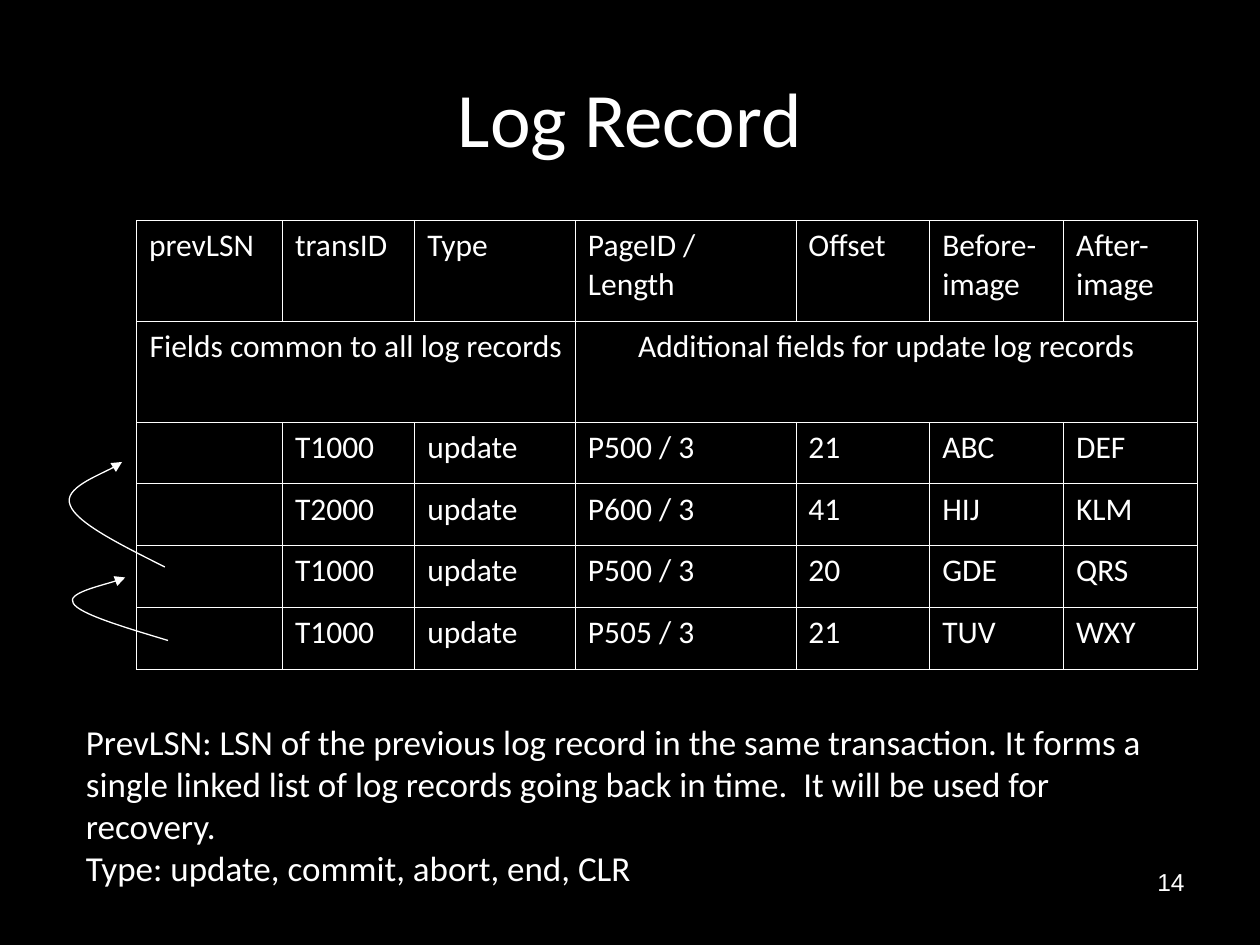
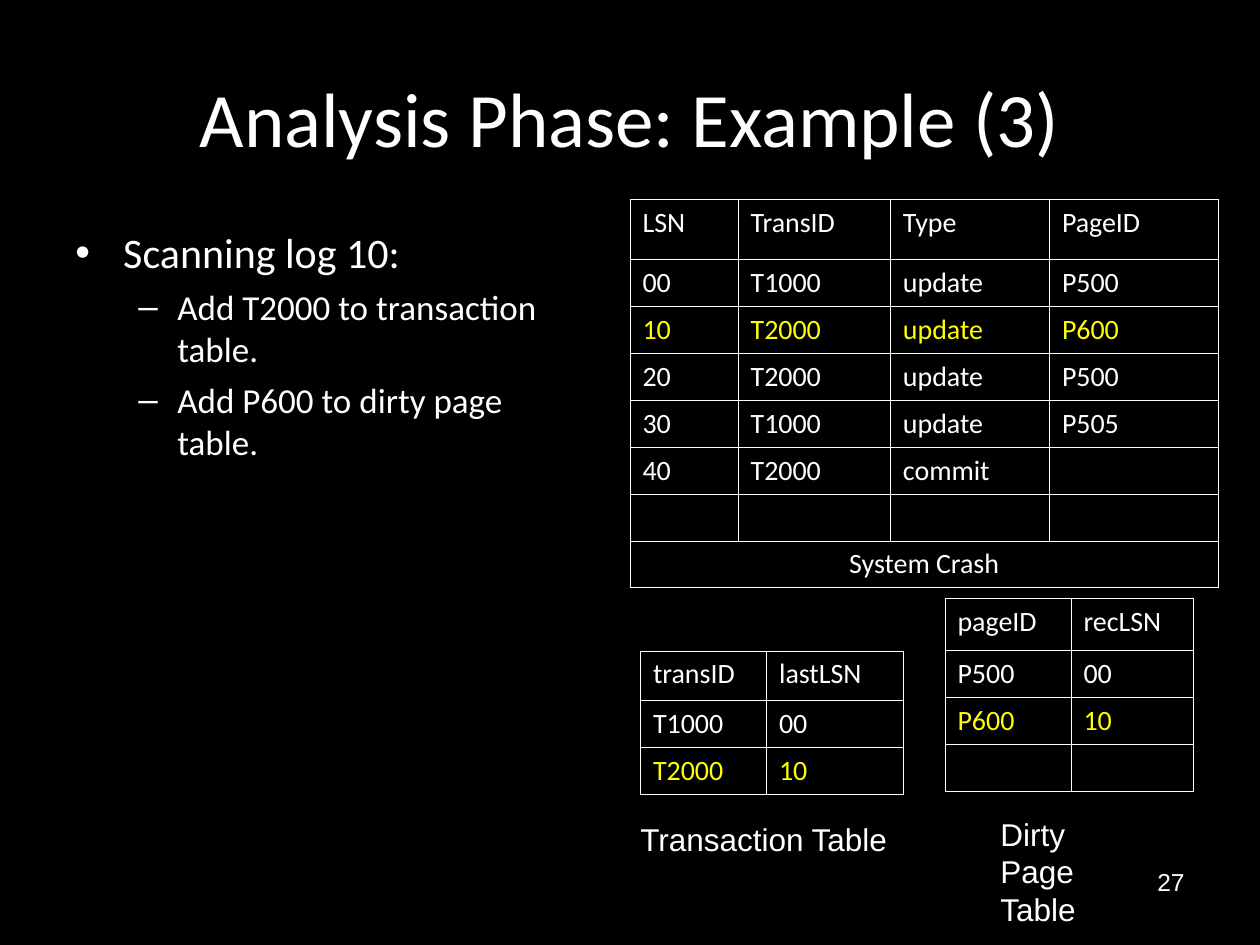
from lxml.etree import SubElement
from pptx import Presentation
from pptx.dml.color import RGBColor
from pptx.enum.text import MSO_ANCHOR as Anchor, PP_ALIGN as Align
from pptx.oxml import parse_xml
from pptx.oxml.ns import nsdecls, qn
from pptx.util import Inches, Pt

WIDTH, HEIGHT = Inches(10), Inches(7.5)
COLUMNS = 120
BLACK, WHITE, YELLOW = "000000", "FFFFFF", "FFFF00"
BODY_FONT, LABEL_FONT = "Calibri", "Arial"
BORDER = 0.45
HOOK = [(1, 1), (0.57, 0.79), (0.13, 0.58), (0.07, 0.41),
        (0, 0.25), (0.5, 0.07), (0.58, 0)]


def grid(*lengths):
    return [round(length * WIDTH / COLUMNS) for length in lengths]


def color(hex_value):
    return RGBColor.from_string(hex_value)


def style(paragraph, size, font=BODY_FONT, fill=WHITE, align=Align.LEFT):
    paragraph.alignment = align
    for run in paragraph.runs:
        run.font.size = Pt(size)
        run.font.name = font
        run.font.color.rgb = color(fill)


def add_text(slide, area, text, size, font=BODY_FONT, align=Align.LEFT,
             anchor=Anchor.TOP, wrap=True):
    frame = slide.shapes.add_textbox(*grid(*area)).text_frame
    frame.word_wrap = wrap
    frame.vertical_anchor = anchor
    frame.text = text
    for paragraph in frame.paragraphs:
        style(paragraph, size, font, align=align)
    return frame


def add_bullet(paragraph, mark, margin, hanging):
    properties = paragraph._p.get_or_add_pPr()
    properties.set("marL", str(Inches(margin)))
    properties.set("indent", str(-Inches(hanging)))
    SubElement(properties, qn("a:buFont")).set("typeface", LABEL_FONT)
    SubElement(properties, qn("a:buChar")).set("char", mark)


def add_outline(slide, area, heading, points):
    frame = add_text(slide, area, "\n".join([heading, *points]), 20)
    first, *rest = frame.paragraphs
    style(first, 24)
    add_bullet(first, "•", 0.38, 0.38)
    for point in rest:
        point.space_before = Pt(5)
        add_bullet(point, "–", 0.81, 0.31)


def border_cell(cell):
    cell.fill.background()
    properties = cell._tc.get_or_add_tcPr()
    for position, side in enumerate(("lnL", "lnR", "lnT", "lnB")):
        properties.insert(position, parse_xml(
            f'<a:{side} {nsdecls("a")} w="{Pt(BORDER)}"><a:solidFill>'
            f'<a:srgbClr val="{WHITE}"/></a:solidFill></a:{side}>'))


def add_grid_table(slide, corner, widths, heights, rows, size,
                   merges=(), highlight=None):
    area = grid(*corner, sum(widths), sum(heights))
    table = slide.shapes.add_table(len(rows), len(widths), *area).table
    table.first_row = table.horz_banding = False
    for column, width in zip(table.columns, grid(*widths)):
        column.width = width
    for row, height in zip(table.rows, grid(*heights)):
        row.height = height
    for r, first, last in merges:
        table.cell(r, first).merge(table.cell(r, last))
    centred = {(r, first) for r, first, last in merges}
    for r, texts in enumerate(rows):
        for c, text in enumerate(texts):
            cell = table.cell(r, c)
            border_cell(cell)
            cell.text = text
            paragraph = cell.text_frame.paragraphs[0]
            style(paragraph, size, fill=YELLOW if r == highlight else WHITE,
                  align=Align.CENTER if (r, c) in centred else Align.LEFT)
            if not text:
                paragraph._p.get_or_add_endParaRPr().set("sz", str(size * 100))


def add_back_link(slide, left, top, width, height):
    points = [grid(left + x * width, top + y * height) for x, y in HOOK]
    builder = slide.shapes.build_freeform(*points[0])
    builder.add_line_segments(points[1:], close=False)
    link = builder.convert_to_shape()
    link.shadow.inherit = False
    link.fill.background()
    link.line.color.rgb = color(WHITE)
    link.line.width = Pt(0.75)
    SubElement(link.line._get_or_add_ln(), qn("a:tailEnd")).set("type", "triangle")
    outline = next(link._element.iter(qn("a:path")))
    segments = outline.findall(qn("a:lnTo"))
    for start in range(0, len(segments), 3):
        curve = SubElement(outline, qn("a:cubicBezTo"))
        for segment in segments[start:start + 3]:
            curve.append(segment[0])
            outline.remove(segment)


def new_slide(deck, title, number):
    slide = deck.slides.add_slide(deck.slide_layouts[6])
    slide.background.fill.solid()
    slide.background.fill.fore_color.rgb = color(BLACK)
    add_text(slide, (86, 82, 28, 6.25), str(number), 14, LABEL_FONT, Align.RIGHT)
    add_text(slide, (6, 3.6, 108, 15), title, 44,
             align=Align.CENTER, anchor=Anchor.MIDDLE)
    return slide


def log_record_slide(deck):
    slide = new_slide(deck, "Log Record", 14)
    updates = [("T1000", "P500 / 3", "21", "ABC", "DEF"),
               ("T2000", "P600 / 3", "41", "HIJ", "KLM"),
               ("T1000", "P500 / 3", "20", "GDE", "QRS"),
               ("T1000", "P505 / 3", "21", "TUV", "WXY")]
    rows = [("prevLSN", "transID", "Type", "PageID / Length", "Offset",
             "Before-image", "After-image"),
            ("Fields common to all log records", "", "",
             "Additional fields for update log records", "", "", "")]
    rows += [("", trans, "update", *change) for trans, *change in updates]
    add_grid_table(slide, (13, 21), [13.9, 12.6, 15.3, 21] + [12.75] * 3,
                   [9.6] * 2 + [5.88] * 4, rows, 18,
                   merges=[(1, 0, 2), (1, 3, 6)])
    add_back_link(slide, 6.3, 55, 9.7, 6)
    add_back_link(slide, 6, 44, 9.7, 10)
    add_text(slide, (7, 68, 106, 17.3),
             "PrevLSN: LSN of the previous log record in the same transaction. "
             "It forms a single linked list of log records going back in time.  "
             "It will be used for recovery.\n"
             "Type: update, commit, abort, end, CLR", 20)


def analysis_slide(deck):
    slide = new_slide(deck, "Analysis Phase: Example (3)", 27)
    add_outline(slide, (6, 21, 49, 59.4), "Scanning log 10:",
                ["Add T2000 to transaction table.", "Add P600 to dirty page table."])
    log = [("LSN", "TransID", "Type", "PageID"),
           ("00", "T1000", "update", "P500"),
           ("10", "T2000", "update", "P600"),
           ("20", "T2000", "update", "P500"),
           ("30", "T1000", "update", "P505"),
           ("40", "T2000", "commit", ""),
           ("",) * 4,
           ("System Crash", "", "", "")]
    dirty_pages = [("pageID", "recLSN"), ("P500", "00"), ("P600", "10"), ("", "")]
    transactions = [("transID", "lastLSN"), ("T1000", "00"), ("T2000", "10")]
    row = 4.47
    add_grid_table(slide, (60, 19), [10.3, 14.5, 15.15, 16.1],
                   [5.7] + [row] * 7, log, 16, merges=[(7, 0, 3)], highlight=2)
    add_grid_table(slide, (90, 57), [12, 11.65], [4.95] + [row] * 3,
                   dirty_pages, 16, highlight=2)
    add_grid_table(slide, (61, 62), [12, 13], [4.75] + [row] * 2,
                   transactions, 16, highlight=2)
    add_text(slide, (59.8, 77.5, 26.4, 4.8), "Transaction Table", 18,
             LABEL_FONT, wrap=False)
    add_text(slide, (94.1, 77, 16.3, 8.4), "Dirty Page\nTable", 18,
             LABEL_FONT, wrap=False)


def main():
    deck = Presentation()
    deck.slide_width, deck.slide_height = WIDTH, HEIGHT
    log_record_slide(deck)
    analysis_slide(deck)
    deck.save("out.pptx")


if __name__ == "__main__":
    main()
